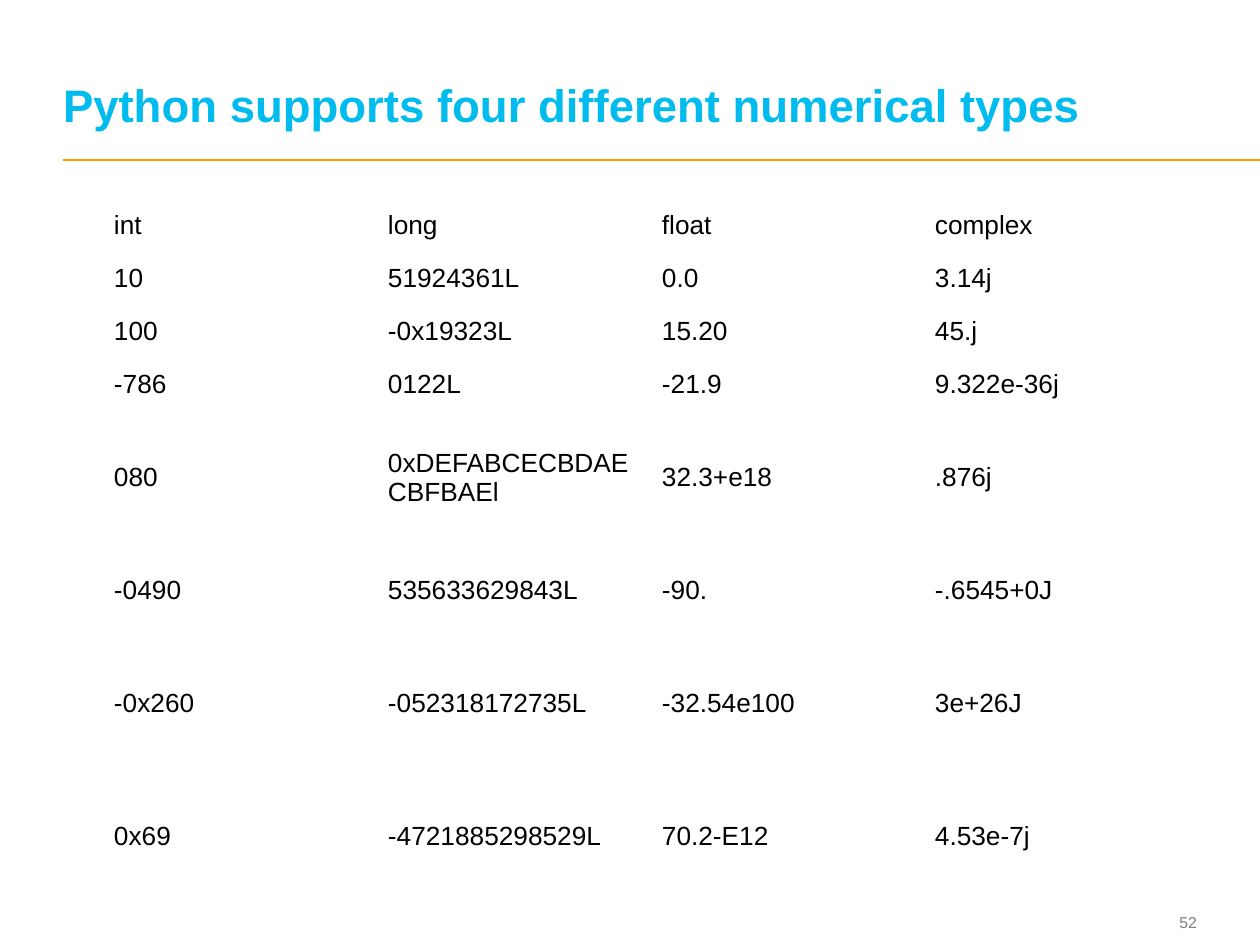
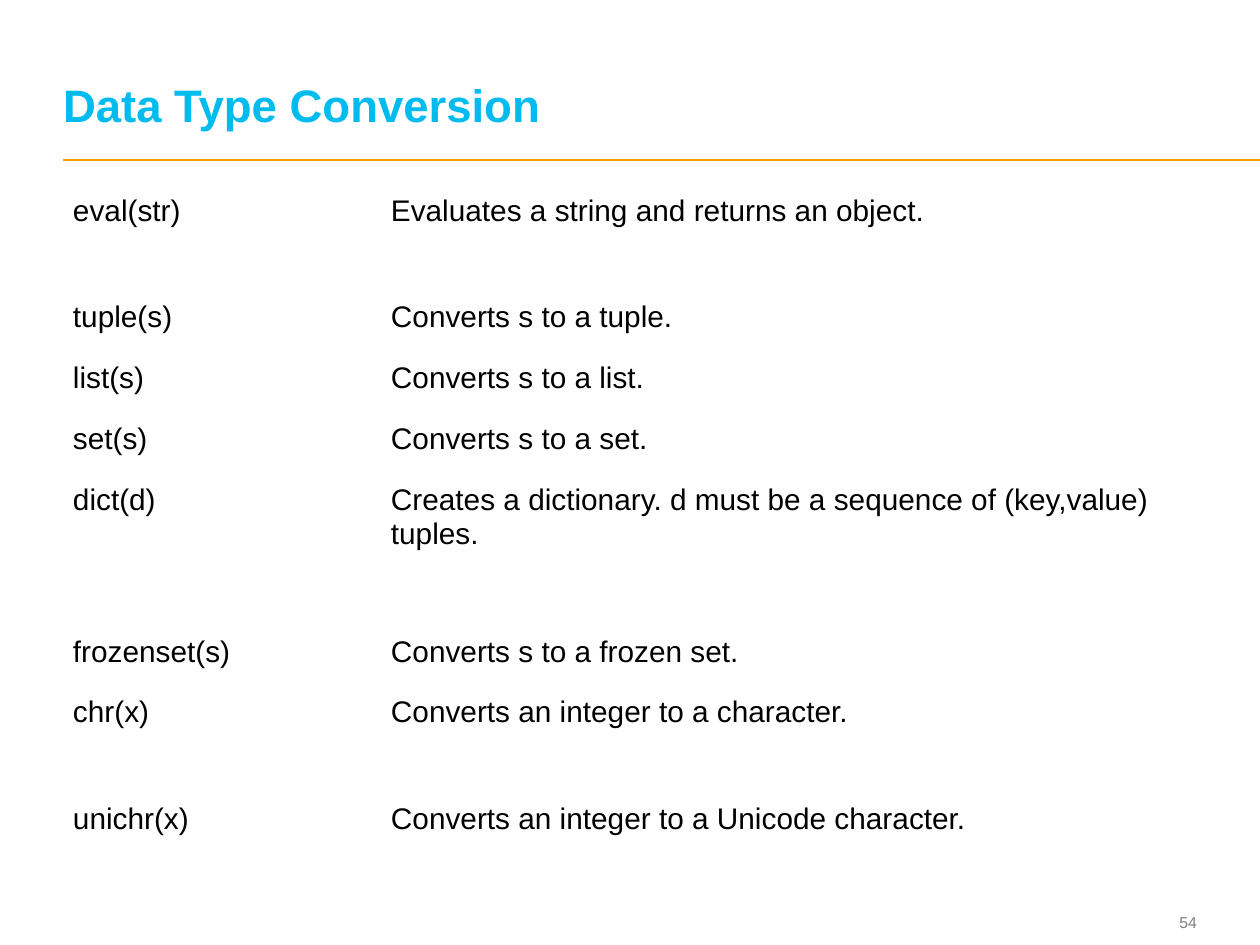
from pptx import Presentation
from pptx.dml.color import RGBColor
from pptx.enum.shapes import MSO_CONNECTOR
from pptx.enum.text import MSO_ANCHOR, PP_ALIGN
from pptx.oxml.ns import qn
from pptx.util import Pt
from lxml.etree import SubElement

PX = 914400 / 126  # EMU per px
WIDTH, HEIGHT = 1260, 945
FONT = "Arial"
COLORS = {"title": "00BBEE", "rule": "FF9900", "number": "7F7F7F", "body": "000000"}

# Boxes are (left, top, width, height) in px
TITLE_BOX = (63, 24, 1130, 108)
NUMBER_BOX = (1123, 905, 74, 34)
RULE_LEFT, RULE_TOP = 63, 160

NUMBER_TYPES = [
    ("int", "long", "float", "complex"),
    ("10", "51924361L", "0.0", "3.14j"),
    ("100", "-0x19323L", "15.20", "45.j"),
    ("-786", "0122L", "-21.9", "9.322e-36j"),
    ("080", "0xDEFABCECBDAECBFBAEl", "32.3+e18", ".876j"),
    ("-0490", "535633629843L", "-90.", "-.6545+0J"),
    ("-0x260", "-052318172735L", "-32.54e100", "3e+26J"),
    ("0x69", "-4721885298529L", "70.2-E12", "4.53e-7j"),
]

CONVERSIONS = [
    ("eval(str)", "Evaluates a string and returns an object."),
    ("tuple(s)", "Converts s to a tuple."),
    ("list(s)", "Converts s to a list."),
    ("set(s)", "Converts s to a set."),
    ("dict(d)", "Creates a dictionary. d must be a sequence of (key,value) tuples."),
    ("frozenset(s)", "Converts s to a frozen set."),
    ("chr(x)", "Converts an integer to a character."),
    ("unichr(x)", "Converts an integer to a Unicode character."),
]


def px(length):
    return round(length * PX)


def add_run(paragraph, text, size, color, bold=False):
    run = paragraph.add_run()
    run.text = text
    run.font.name = FONT
    run.font.size = Pt(size)
    run.font.bold = bold
    run.font.color.rgb = RGBColor.from_string(COLORS[color])


def set_margins(holder, side, end):
    holder.margin_left = holder.margin_right = px(side)
    holder.margin_top = holder.margin_bottom = px(end)


def add_label(slide, box, anchor, text, size, color, bold=False):
    frame = slide.shapes.add_textbox(*map(px, box)).text_frame
    frame.word_wrap = True
    frame.vertical_anchor = anchor
    set_margins(frame, 0, 0)
    paragraph = frame.paragraphs[0]
    add_run(paragraph, text, size, color, bold)
    return paragraph


def add_rule(slide):
    rule = slide.shapes.add_connector(
        MSO_CONNECTOR.STRAIGHT, px(RULE_LEFT), px(RULE_TOP), px(WIDTH), px(RULE_TOP))
    rule.line.color.rgb = RGBColor.from_string(COLORS["rule"])
    rule.line.width = Pt(1)
    SubElement(rule._element.spPr, qn("a:effectLst"))


def add_titled_slide(prs, title, number):
    slide = prs.slides.add_slide(prs.slide_layouts[6])
    add_rule(slide)
    # Page number
    page = add_label(slide, NUMBER_BOX, MSO_ANCHOR.MIDDLE, number, 9, "number")
    page.alignment = PP_ALIGN.RIGHT
    # Title
    heading = add_label(slide, TITLE_BOX, MSO_ANCHOR.BOTTOM, title, 26, "title", True)
    heading.line_spacing = Pt(26)
    return slide


def add_plain_table(slide, left, top, widths, heights, rows, size, anchor, margins):
    table = slide.shapes.add_table(
        len(rows), len(widths), px(left), px(top),
        px(sum(widths)), px(sum(heights))).table
    table.first_row = table.horz_banding = False
    for column, width in zip(table.columns, widths):
        column.width = px(width)
    for table_row, height, texts in zip(table.rows, heights, rows):
        table_row.height = px(height)
        for cell, text in zip(table_row.cells, texts):
            cell.fill.background()
            cell.vertical_anchor = anchor
            set_margins(cell, *margins)
            add_run(cell.text_frame.paragraphs[0], text, size, "body")


def main():
    prs = Presentation()
    prs.slide_width, prs.slide_height = px(WIDTH), px(HEIGHT)

    # Numerical types
    types = add_titled_slide(prs, "Python supports four different numerical types", "52")
    add_plain_table(types, 104, 199, [274, 274, 273, 274],
                    [53] * 4 + [133, 93, 133, 133],
                    NUMBER_TYPES, 15, MSO_ANCHOR.MIDDLE, (10, 5))

    # Conversion functions
    conversion = add_titled_slide(prs, "Data Type Conversion", "54")
    add_plain_table(conversion, 62, 188, [318, 802],
                    [107, 61, 61, 61, 152, 60, 107, 107],
                    CONVERSIONS, 17, MSO_ANCHOR.TOP, (11, 6))

    prs.save("out.pptx")


if __name__ == "__main__":
    main()
